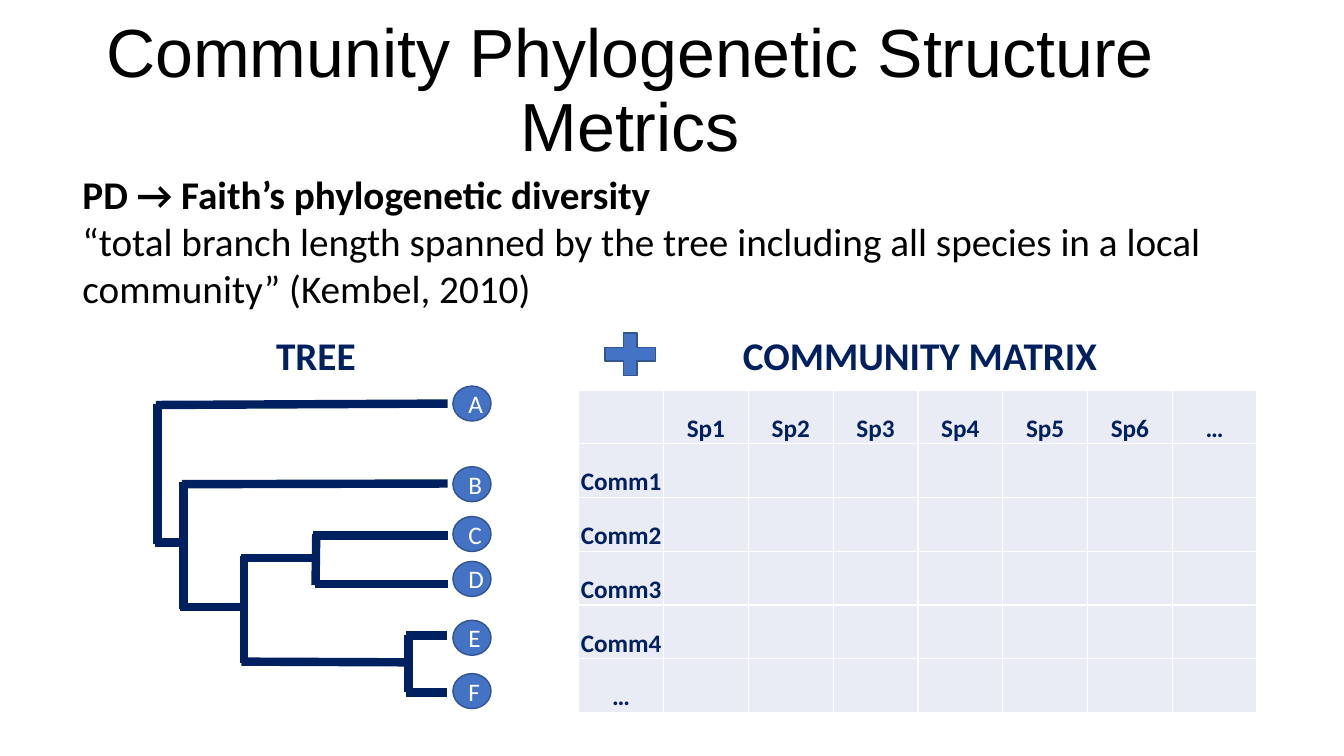
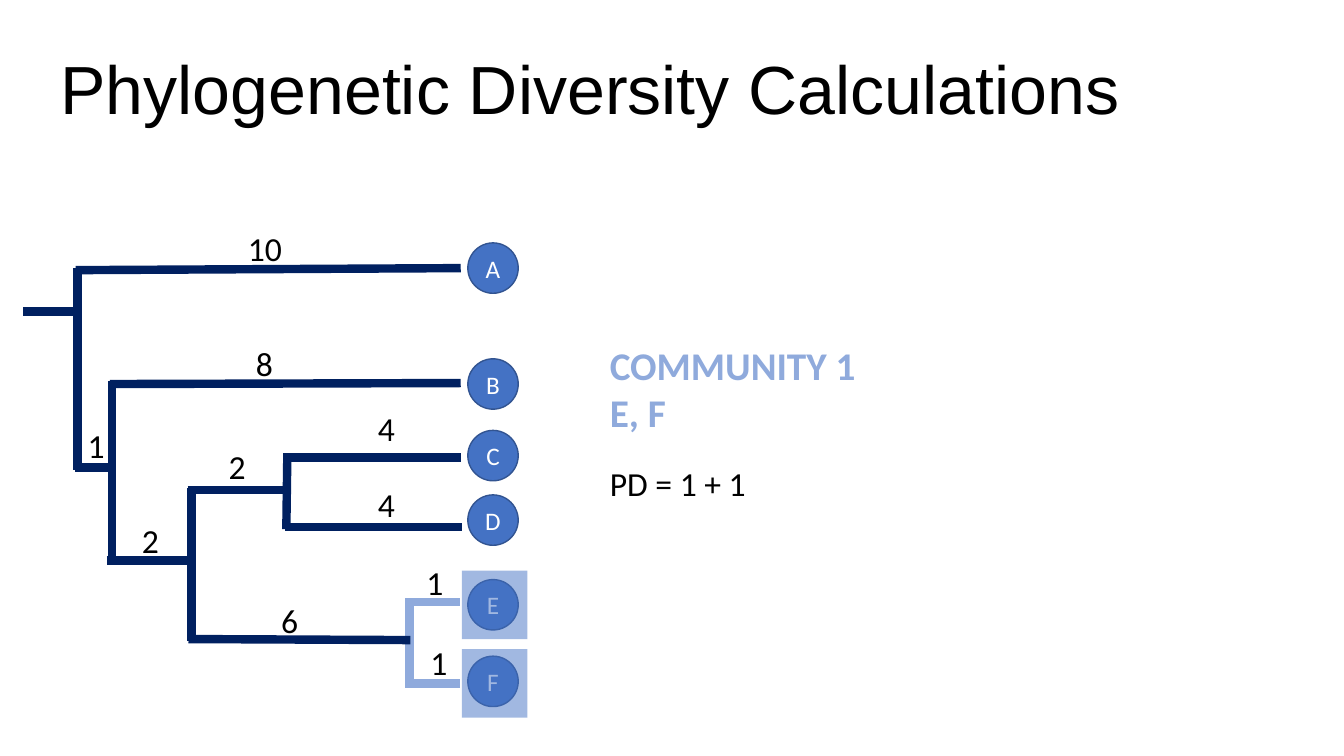
from pptx import Presentation
from pptx.dml.color import RGBColor
from pptx.enum.shapes import MSO_CONNECTOR, MSO_SHAPE
from pptx.enum.text import MSO_ANCHOR, MSO_AUTO_SIZE, PP_ALIGN
from pptx.oxml.ns import qn
from pptx.util import Inches, Pt
from lxml.etree import SubElement

NAVY = "002060"
BLUE = "4472C4"
EDGE = "325491"
LIGHT = "8FAADC"
CELL = "E9EBF5"
WHITE = "FFFFFF"
BLACK = "000000"

TREE_W, TREE_H = 4.4, 4.6
TIP = 0.5
TIPS = {"A": 0, "B": 1.15, "C": 1.86, "D": 2.5, "E": 3.34, "F": 4.1}
BRANCHES = [
    (0.37, 1.37, 0.37, 3.18),
    (0.01, 0.27, 3.83, 0.25),
    (0, 2.23, 0.4, 2.23),
    (2.11, 2.11, 2.1, 2.84),
    (0.35, 1.4, 3.83, 1.39),
    (0.32, 3.15, 1.16, 3.15),
    (1.16, 2.43, 1.16, 3.95),
    (0.03, 2.25, 0.03, 0.25),
    (2.07, 2.13, 3.83, 2.13),
    (1.12, 2.45, 2.11, 2.45),
    (2.09, 2.82, 3.84, 2.82),
]
CLADE_STEM = (3.32, 3.55, 3.32, 4.37)
CLADE_ROOT = (1.13, 3.93, 3.33, 3.94)
CLADE_TIPS = [(3.28, 3.56, 3.82, 3.56), (3.28, 4.37, 3.82, 4.37)]
LENGTHS = [
    ("10", 1.62, -0.2), ("8", 1.7, 0.94), ("4", 2.91, 1.59),
    ("4", 2.91, 2.34), ("1", 3.39, 3.12), ("1", 3.43, 3.91),
    ("6", 1.95, 3.49), ("2", 0.57, 2.7), ("1", 0.03, 1.76),
    ("2", 1.43, 1.96),
]


def rgb(color):
    return RGBColor.from_string(color)


def add_run(p, text, size, color, bold=False, font="Calibri"):
    r = p.add_run()
    r.text = text
    r.font.name = font
    r.font.size = Pt(size)
    r.font.bold = bold
    r.font.color.rgb = rgb(color)


def add_title(s, text, align):
    sp = s.shapes.title
    sp.left, sp.top = Inches(0.5), Inches(0.19)
    sp.width, sp.height = Inches(11.5), Inches(1.45)
    tf = sp.text_frame
    tf.auto_size = MSO_AUTO_SIZE.NONE
    tf.vertical_anchor = MSO_ANCHOR.MIDDLE
    p = tf.paragraphs[0]
    p.alignment = align
    p.line_spacing = 0.9
    add_run(p, text, 48.6, BLACK, font="Arial")


def add_text(s, x, y, w, h, lines, size, color, wrap=True):
    tf = s.shapes.add_textbox(Inches(x), Inches(y), Inches(w), Inches(h)).text_frame
    tf.word_wrap = wrap
    for i, (text, bold) in enumerate(lines):
        p = tf.add_paragraph() if i else tf.paragraphs[0]
        add_run(p, text, size, color, bold)


def add_shape(shapes, kind, x, y, w, h, line=EDGE):
    sp = shapes.add_shape(kind, Inches(x), Inches(y), Inches(w), Inches(h))
    sp.shadow.inherit = False
    sp.fill.solid()
    sp.fill.fore_color.rgb = rgb(BLUE)
    if line:
        sp.line.color.rgb = rgb(line)
        sp.line.width = Pt(1)
    else:
        sp.line.fill.background()
    return sp


def add_branch(shapes, x1, y1, x2, y2, color=NAVY):
    line = shapes.add_connector(
        MSO_CONNECTOR.STRAIGHT, Inches(x1), Inches(y1), Inches(x2), Inches(y2))
    line.line.color.rgb = rgb(color)
    line.line.width = Pt(6)
    SubElement(line._element.spPr, qn("a:effectLst"))


def add_tree(s, x, y, w, h, clade_color=NAVY):
    shapes = s.shapes.add_group_shape().shapes
    kx, ky = w / TREE_W, h / TREE_H
    colored = [(b, NAVY) for b in BRANCHES]
    colored += [(CLADE_STEM, clade_color), (CLADE_ROOT, NAVY)]
    colored += [(b, clade_color) for b in CLADE_TIPS]
    for (x1, y1, x2, y2), color in colored:
        add_branch(shapes, x + x1 * kx, y + y1 * ky, x + x2 * kx, y + y2 * ky, color)
    for name, top in TIPS.items():
        sp = add_shape(shapes, MSO_SHAPE.OVAL, x + (TREE_W - TIP) * kx,
                       y + top * ky, TIP * kx, TIP * ky)
        tf = sp.text_frame
        tf.vertical_anchor = MSO_ANCHOR.MIDDLE
        p = tf.paragraphs[0]
        p.alignment = PP_ALIGN.CENTER
        add_run(p, name, 18, WHITE)


def add_borders(cell):
    tcPr = cell._tc.get_or_add_tcPr()
    for side in ("a:lnL", "a:lnR", "a:lnT", "a:lnB"):
        ln = SubElement(tcPr, qn(side), w=str(Pt(1)))
        fill = SubElement(ln, qn("a:solidFill"))
        SubElement(fill, qn("a:srgbClr"), val=WHITE)


def add_matrix(s, x, y, w, h):
    species = [""] + [f"Sp{i}" for i in range(1, 7)] + ["…"]
    communities = [""] + [f"Comm{i}" for i in range(1, 5)] + ["…"]
    table = s.shapes.add_table(len(communities), len(species), Inches(x),
                               Inches(y), Inches(w), Inches(h)).table
    for i, community in enumerate(communities):
        for j, name in enumerate(species):
            cell = table.cell(i, j)
            add_borders(cell)
            cell.fill.solid()
            cell.fill.fore_color.rgb = rgb(CELL)
            label = name if i == 0 else community if j == 0 else ""
            if label:
                cell.margin_left = cell.margin_right = cell.margin_top = Inches(0.01)
                cell.margin_bottom = 0
                cell.vertical_anchor = MSO_ANCHOR.BOTTOM
                p = cell.text_frame.paragraphs[0]
                p.alignment = PP_ALIGN.CENTER
                add_run(p, label, 18, NAVY, True)


def add_lengths(s, x, y):
    add_branch(s.shapes, x - 0.51, y + 0.68, x + 0.03, y + 0.68)
    for text, dx, dy in LENGTHS:
        w = 0.2 + 0.17 * len(text)
        add_text(s, x + dx, y + dy, w, 0.5, [(text, False)], 24, BLACK, wrap=False)


def add_highlight(s, x, y, w, h):
    sp = add_shape(s.shapes, MSO_SHAPE.RECTANGLE, x, y, w, h, line=None)
    color = sp._element.spPr.find(qn("a:solidFill"))[0]
    SubElement(color, qn("a:alpha"), val="50000")


def metrics_slide(prs):
    s = prs.slides.add_slide(prs.slide_layouts[5])
    add_title(s, "Community Phylogenetic Structure Metrics", PP_ALIGN.CENTER)
    add_text(s, 0.72, 1.64, 11.6, 1.51, [
        ("PD → Faith’s phylogenetic diversity", True),
        ("“total branch length spanned by the tree including all species "
         "in a local community” (Kembel, 2010)", False),
    ], 28, BLACK)
    add_tree(s, 1.54, 3.83, 3.33, 3.2)
    add_matrix(s, 5.74, 3.87, 6.73, 3.2)
    add_text(s, 2.64, 3.24, 1.2, 0.57, [("TREE", True)], 28, NAVY)
    add_text(s, 7.27, 3.24, 4.25, 0.57, [("COMMUNITY MATRIX", True)], 28, NAVY)
    add_shape(s.shapes, MSO_SHAPE.MATH_PLUS, 5.91, 3.23, 0.68, 0.57)


def calculations_slide(prs):
    s = prs.slides.add_slide(prs.slide_layouts[5])
    add_title(s, "Phylogenetic Diversity Calculations", PP_ALIGN.LEFT)
    x, y = 0.74, 2.41
    add_tree(s, x, y, TREE_W, TREE_H, LIGHT)
    add_lengths(s, x, y)
    add_text(s, 5.95, 4.54, 1.64, 0.5, [("PD = 1 + 1", False)], 24, BLACK, wrap=False)
    add_text(s, 5.95, 3.34, 2.91, 1.04,
             [("COMMUNITY 1", True), ("E, F", True)], 28, LIGHT)
    for top in (3.25, 4.03):
        add_highlight(s, x + 3.84, y + top, 0.65, 0.68)


def main():
    prs = Presentation()
    prs.slide_width, prs.slide_height = Inches(13.33), Inches(7.5)
    metrics_slide(prs)
    calculations_slide(prs)
    prs.save("out.pptx")


if __name__ == "__main__":
    main()
